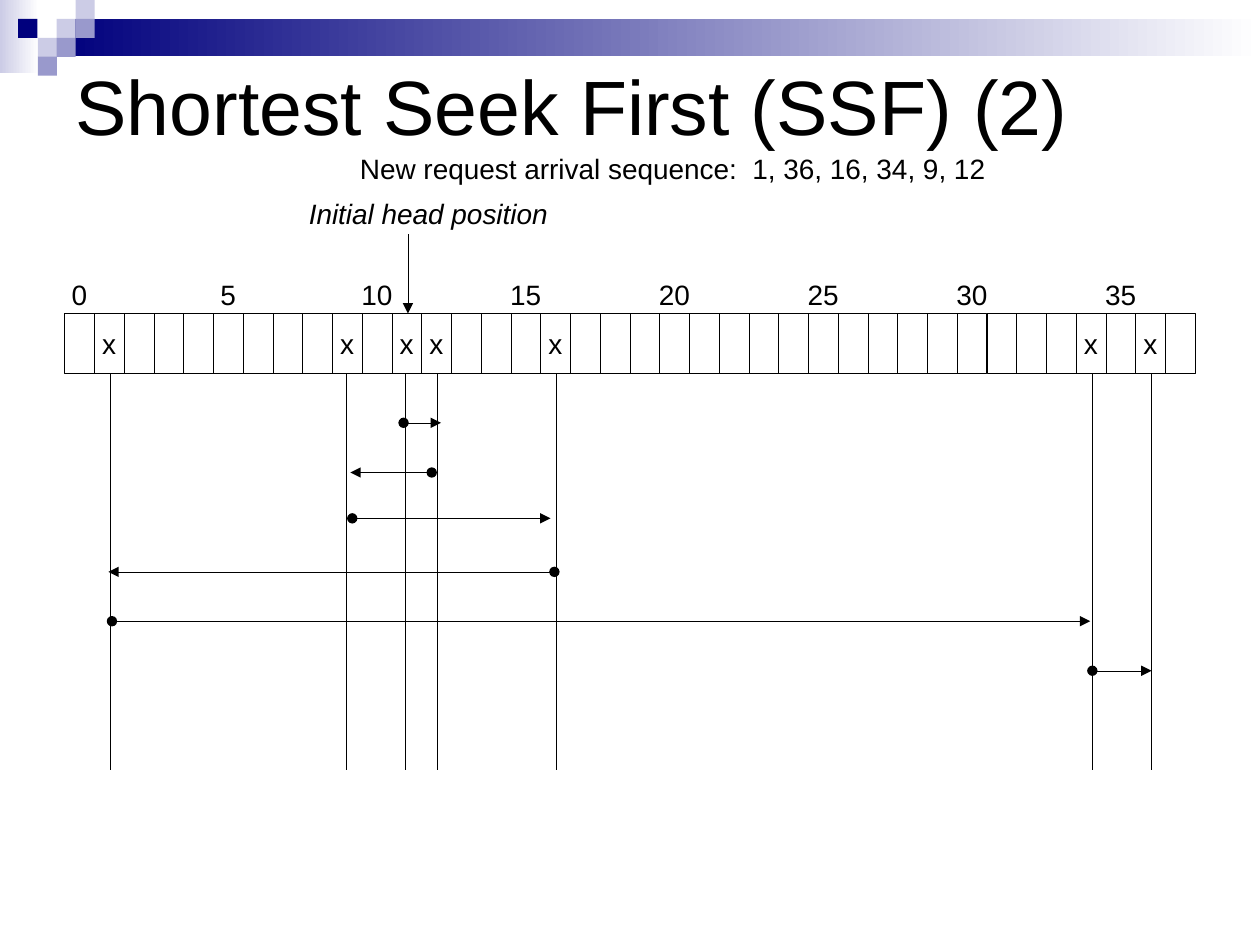
from lxml.etree import SubElement
from pptx import Presentation
from pptx.dml.color import RGBColor
from pptx.enum.shapes import MSO_CONNECTOR, MSO_SHAPE
from pptx.enum.text import MSO_ANCHOR, MSO_AUTO_SIZE, PP_ALIGN
from pptx.oxml.ns import qn
from pptx.util import Pt

COLORS = {
    "navy": "00007D",
    "violet": "9999CC",
    "lavender": "CCCCE6",
    "white": "FFFFFF",
    "black": "000000",
}
RGB = {name: RGBColor.from_string(value) for name, value in COLORS.items()}
FONT = "Arial"

deck = Presentation()
deck.slide_width, deck.slide_height = Pt(720), Pt(540)
page = deck.slides.add_slide(deck.slide_layouts[5])
shapes = page.shapes


def write(shape, text, size=16, align=PP_ALIGN.CENTER, italic=None, inset=0):
    """Put one formatted run into a shape, centred vertically."""
    frame = shape.text_frame
    frame.word_wrap = True
    frame.auto_size = MSO_AUTO_SIZE.NONE
    frame.vertical_anchor = MSO_ANCHOR.MIDDLE
    frame.margin_left = frame.margin_right = Pt(inset)
    para = frame.paragraphs[0]
    para.alignment = align
    span = para.add_run()
    span.text = text
    span.font.name, span.font.size, span.font.italic = FONT, Pt(size), italic
    span.font.color.rgb = RGB["black"]


def draw_line(x1, y1, x2, y2, head=None, tail=None):
    """Draw a hairline in points, with optional ends at its start and finish."""
    line = shapes.add_connector(MSO_CONNECTOR.STRAIGHT, Pt(x1), Pt(y1), Pt(x2), Pt(y2))
    line.line.color.rgb = RGB["black"]
    line.line.width = Pt(0.25)
    outline = line.line._get_or_add_ln()
    for tag, kind in (("a:headEnd", head), ("a:tailEnd", tail)):
        if kind:
            SubElement(outline, qn(tag)).set("type", kind)
    SubElement(line._element.spPr, qn("a:effectLst"))


# Header decoration: two fading bands and a mosaic of small squares
SQUARE = 10.9
decorations = [
    (0, 0, 22.3, 41.8, "lavender", True),
    (32.4, 10.8, 687.6, 21.4, "navy", True),
]
mosaic = [
    (32.4, 10.8, "lavender"), (43.2, 0, "lavender"), (43.2, 10.8, "violet"),
    (21.6, 21.6, "lavender"), (10.4, 10.8, "navy"), (32.4, 21.6, "violet"),
    (21.6, 32.4, "violet"),
]
decorations += [(x, y, SQUARE, SQUARE, color, False) for x, y, color in mosaic]
for left, top, width, height, color, fades in decorations:
    block = shapes.add_shape(MSO_SHAPE.RECTANGLE, Pt(left), Pt(top), Pt(width), Pt(height))
    block.shadow.inherit = False
    block.line.fill.background()
    if fades:
        block.fill.gradient()
        block.fill.gradient_angle = 0
        for stop, position, name in zip(block.fill.gradient_stops, (0, 1), (color, "white")):
            stop.position = position
            stop.color.rgb = RGB[name]
    else:
        block.fill.solid()
        block.fill.fore_color.rgb = RGB[color]

title = shapes.title
title.left, title.top, title.width, title.height = Pt(36), Pt(36), Pt(648), Pt(48)
write(title, "Shortest Seek First (SSF) (2)", 44, PP_ALIGN.LEFT, inset=7.2)

# Disk track: one cell per cylinder
CYLINDERS = 38
REQUESTED = {1, 9, 11, 12, 16, 34, 36}
TRACK_LEFT, TRACK_TOP = 36.9, 179.2
CELL_WIDTH, CELL_HEIGHT = 17, 34
TRACK_BOTTOM = TRACK_TOP + CELL_HEIGHT
LABEL_TOP, LABEL_WIDTH = 151.2, 20

for cylinder in range(CYLINDERS):
    left = TRACK_LEFT + cylinder * CELL_WIDTH
    cell = shapes.add_shape(MSO_SHAPE.RECTANGLE, Pt(left), Pt(TRACK_TOP),
                            Pt(CELL_WIDTH), Pt(CELL_HEIGHT))
    cell.shadow.inherit = False
    cell.fill.background()
    cell.line.color.rgb = RGB["black"]
    cell.line.width = Pt(0.25)
    if cylinder in REQUESTED:
        write(cell, "x")
    if cylinder % 5 == 0:
        label_left = left + (CELL_WIDTH - LABEL_WIDTH) / 2
        label = shapes.add_textbox(Pt(label_left), Pt(LABEL_TOP),
                                   Pt(LABEL_WIDTH), Pt(CELL_HEIGHT))
        write(label, str(cylinder))

captions = [
    ("New request arrival sequence:  1, 36, 16, 34, 9, 12", 198.7, 82.8, 371.5, None),
    ("Initial head position", 169.2, 108.5, 151.2, True),
]
for text, left, top, width, italic in captions:
    caption = shapes.add_textbox(Pt(left), Pt(top), Pt(width), Pt(26.6))
    write(caption, text, italic=italic)

draw_line(233.1, 134, 233.1, TRACK_TOP, tail="triangle")

# Guides below the requested cylinders
for x in (62.9, 198, 231.8, 249.8, 318, 624.2, 658.1):
    draw_line(x, TRACK_BOTTOM, x, 440)

# Head movements, in the order served: start, end, height
seeks = [
    (230.6, 252, 241.6), (246.7, 200.2, 270), (201.3, 314.6, 296.2),
    (316.8, 61.9, 326.8), (64, 623, 355), (624.2, 658.1, 383.3),
]
for start, end, y in seeks:
    draw_line(start, y, end, y, head="oval", tail="triangle")

deck.save("out.pptx")
